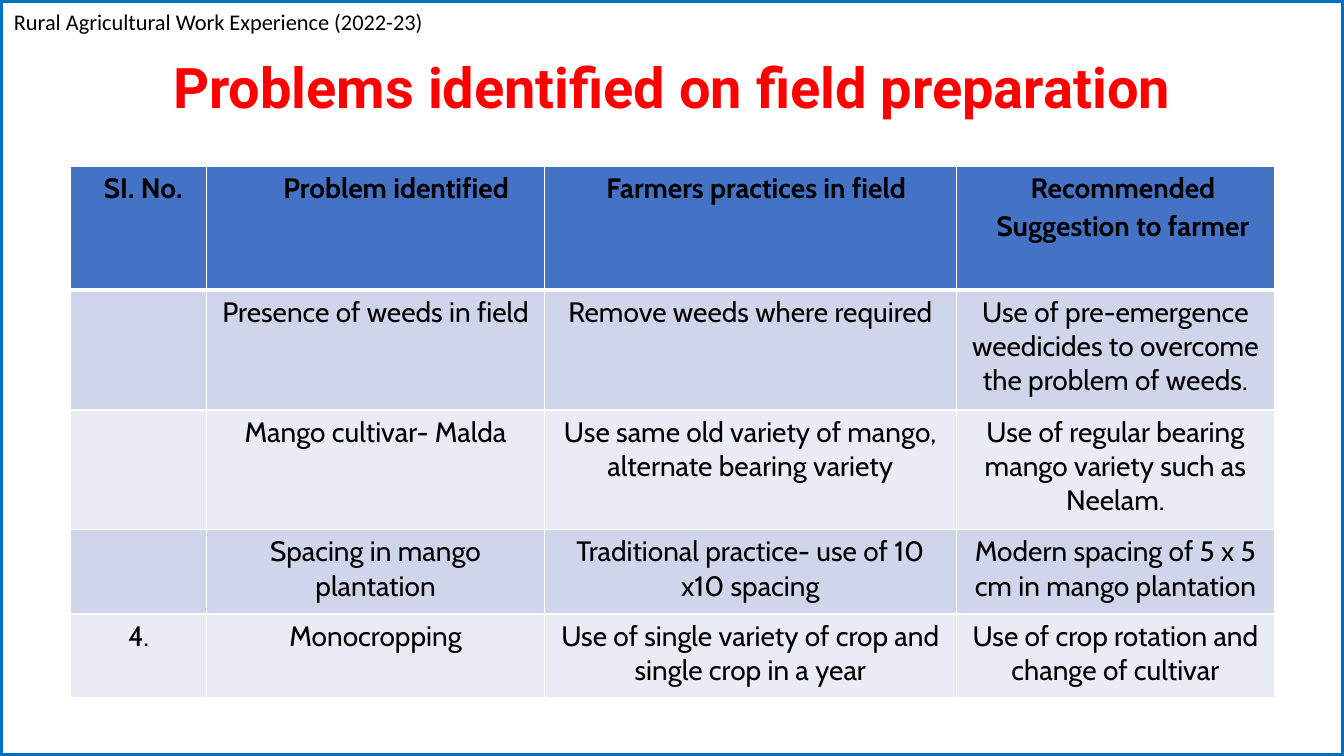
"""Build the slide on problems identified during field preparation."""
import lxml.etree
import pptx
import pptx.dml.color
import pptx.enum.shapes
import pptx.enum.text
import pptx.oxml.ns
import pptx.util

Cm = pptx.util.Cm
Pt = pptx.util.Pt
CENTER = pptx.enum.text.PP_ALIGN.CENTER
LEFT = pptx.enum.text.PP_ALIGN.LEFT

SLIDE_WIDTH, SLIDE_HEIGHT = 33.87, 19.05
COLUMN_WIDTHS = [3.43, 8.51, 10.38, 8.02]
ROW_HEIGHTS = [3.12, 3.02, 3.02, 2.12, 2.12]
HEADINGS = [
    (["SI. No."], CENTER, 0.23),
    (["Problem identified"], LEFT, 1.68),
    (["Farmers practices in field"], CENTER, 0.3),
    (["Recommended", "Suggestion to farmer"], CENTER, 0.38),
]
PROBLEMS = [
    ("", "Presence of weeds in field", "Remove weeds where required",
     "Use of pre-emergence weedicides to overcome the problem of weeds."),
    ("", "Mango cultivar- Malda",
     "Use same old variety of mango, alternate bearing variety",
     "Use of regular bearing mango variety such as Neelam."),
    ("", "Spacing in mango plantation",
     "Traditional practice- use of 10 x10 spacing",
     "Modern spacing of 5 x 5 cm in mango plantation"),
    ("4.", "Monocropping",
     "Use of single variety of crop and single crop in a year",
     "Use of crop rotation and change of cultivar"),
]


def color(hex_code):
    """Return the colour for a hex string."""
    return pptx.dml.color.RGBColor.from_string(hex_code)


def style(paragraph, size, font_name, hex_code, bold=False, align=LEFT):
    """Set the font and alignment of a paragraph."""
    paragraph.alignment = align
    font = paragraph.font
    font.size, font.name, font.bold = Pt(size), font_name, bold
    font.color.rgb = color(hex_code)


def add_frame(slide, left, top, width, height):
    """Outline the given box."""
    frame = slide.shapes.add_shape(
        pptx.enum.shapes.MSO_SHAPE.RECTANGLE,
        Cm(left), Cm(top), Cm(width), Cm(height))
    frame.shadow.inherit = False
    frame.fill.background()
    frame.line.color.rgb = color("0070C0")
    frame.line.width = Pt(4.5)


def add_line_of_text(slide, left, top, width, height, text, **look):
    """Place one line of text in the given box."""
    box = slide.shapes.add_textbox(Cm(left), Cm(top), Cm(width), Cm(height))
    box.text_frame.word_wrap = True
    paragraph = box.text_frame.paragraphs[0]
    paragraph.text = text
    style(paragraph, **look)


def finish_cell(cell, fill, bottom_width=1):
    """Fill a cell and give it white borders."""
    properties = cell._tc.get_or_add_tcPr()
    for side, width in (("L", 1), ("R", 1), ("T", 1), ("B", bottom_width)):
        border = lxml.etree.SubElement(
            properties, pptx.oxml.ns.qn(f"a:ln{side}"), w=str(Pt(width)))
        solid = lxml.etree.SubElement(border, pptx.oxml.ns.qn("a:solidFill"))
        lxml.etree.SubElement(solid, pptx.oxml.ns.qn("a:srgbClr"), val="FFFFFF")
    cell.fill.solid()
    cell.fill.fore_color.rgb = color(fill)


def write_heading(cell, lines, align, indent):
    """Write a bold, indented column heading."""
    cell.text = "\n".join(lines)
    for index, paragraph in enumerate(cell.text_frame.paragraphs):
        paragraph._p.get_or_add_pPr().set("marL", str(Cm(indent)))
        style(paragraph, 20, "Cabin", "000000", bold=True, align=align)
        paragraph.space_after = Pt(1 if len(lines) > 1 else 10)
        if index:
            paragraph.space_before = Pt(2)
    finish_cell(cell, "4472C4", bottom_width=3)


def add_problem_table(slide, left, top):
    """Place the table of problems, practices and suggestions."""
    table = slide.shapes.add_table(
        len(ROW_HEIGHTS), len(COLUMN_WIDTHS), Cm(left), Cm(top),
        Cm(sum(COLUMN_WIDTHS)), Cm(sum(ROW_HEIGHTS))).table
    for column, width in zip(table.columns, COLUMN_WIDTHS):
        column.width = Cm(width)
    for row, height in zip(table.rows, ROW_HEIGHTS):
        row.height = Cm(height)
    for column, heading in enumerate(HEADINGS):
        write_heading(table.cell(0, column), *heading)
    for row, problem in enumerate(PROBLEMS, start=1):
        for column, text in enumerate(problem):
            cell = table.cell(row, column)
            paragraph = cell.text_frame.paragraphs[0]
            if text:
                paragraph.text = text
            style(paragraph, 20, "Cabin", "000000", align=CENTER)
            paragraph.space_after = Pt(10 if column else 0)
            finish_cell(cell, "CFD5EA" if row % 2 else "E9EBF5")


def main():
    """Build and save the presentation."""
    deck = pptx.Presentation()
    deck.slide_width, deck.slide_height = Cm(SLIDE_WIDTH), Cm(SLIDE_HEIGHT)
    slide = deck.slides.add_slide(deck.slide_layouts[6])
    add_frame(slide, 0, 0, SLIDE_WIDTH, SLIDE_HEIGHT)
    add_line_of_text(
        slide, 0.1, 0.08, 12, 0.94,
        "Rural Agricultural Work Experience (2022-23)",
        size=16, font_name="Calibri", hex_code="000000")
    add_line_of_text(
        slide, 0.61, 1.19, 32.64, 1.96,
        "Problems identified on field preparation",
        size=40, font_name="Roboto", hex_code="FF0000", bold=True, align=CENTER)
    add_problem_table(slide, 1.78, 4.19)
    deck.save("out.pptx")


if __name__ == "__main__":
    main()
